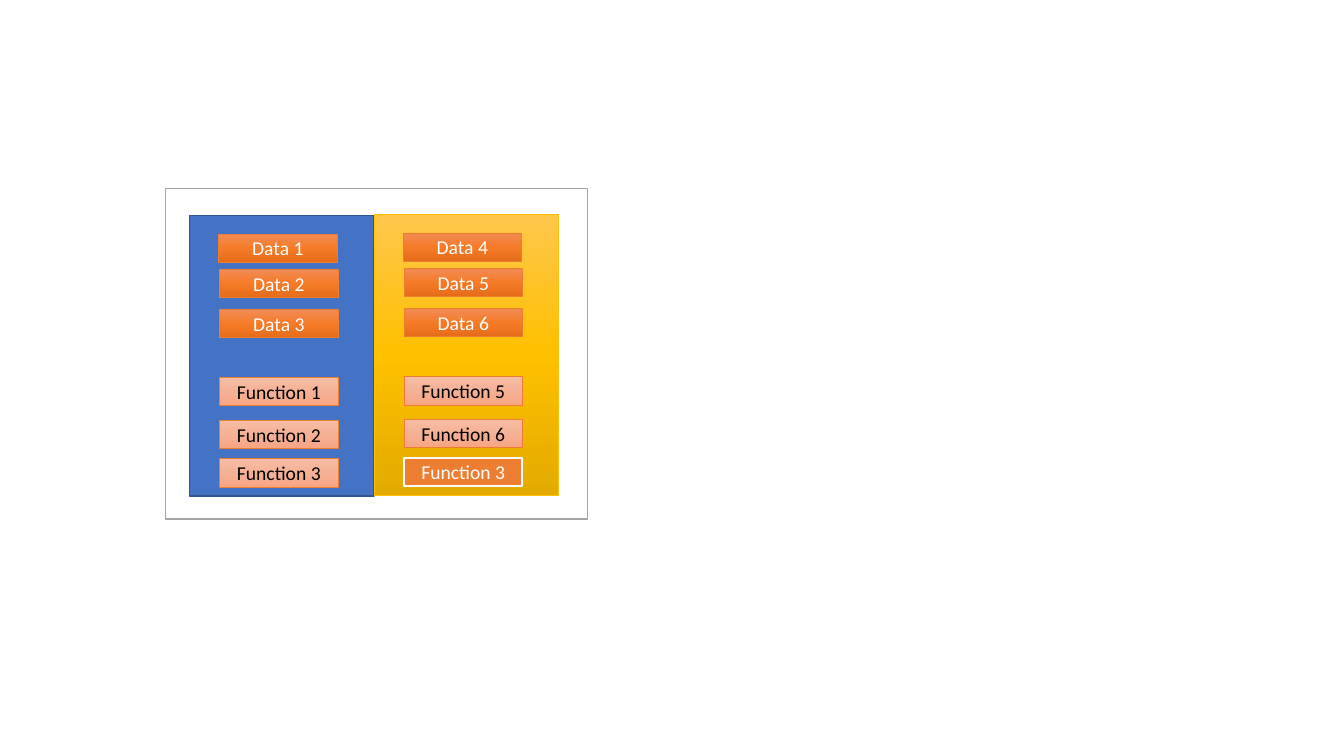
from copy import deepcopy

from pptx import Presentation
from pptx.dml.color import RGBColor
from pptx.enum.shapes import MSO_SHAPE as Shape
from pptx.enum.text import MSO_ANCHOR as Anchor, PP_ALIGN as Align
from pptx.oxml.ns import qn
from pptx.util import Pt

# Styles: fill (one colour, or three gradient stops), line, line width, text
FRAME = ("FFFFFF", "A5A5A5", 1, None)
BLUE_PANEL = ("4472C4", "325491", 1, None)
GOLD_PANEL = (("FFC64B", "FFC000", "E3AB00"), "FFC000", 0.5, None)
DATA = (("F18C57", "F67B28", "E56C19"), "ED7D31", 0.5, "FFFFFF")
FUNCTION = (("F7BDA5", "F5B196", "F8A582"), "ED7D31", 0.5, "000000")
OVERRIDE = ("ED7D31", "FFFFFF", 1.5, "FFFFFF")

# Panel and label layout, in points
PANEL_SIZE = (131.8, 200.2)
LABEL_SIZE = (84.4, 20.2)
LABEL_OFFSETS = ((20.9, 13), (21.6, 38.2), (21.6, 67),
                 (21.6, 115.6), (21.6, 146.2), (21.6, 173.5))


def color(hex_string):
    return RGBColor.from_string(hex_string)


def fill_gradient(shape, colors):
    """Fill from top to bottom with evenly spaced colours."""
    fill = shape.fill
    fill.gradient()
    fill.gradient_angle = 270
    stop_list = shape._element.spPr.find(".//" + qn("a:gsLst"))
    while len(stop_list) < len(colors):
        stop_list.append(deepcopy(stop_list[-1]))
    for index, (stop, hex_string) in enumerate(zip(fill.gradient_stops, colors)):
        stop.position = index / (len(colors) - 1)
        stop.color.rgb = color(hex_string)


def add_box(slide, position, size, style, text=""):
    fill, line, line_width, text_color = style
    lengths = [Pt(value) for value in (*position, *size)]
    shape = slide.shapes.add_shape(Shape.RECTANGLE, *lengths)
    shape.shadow.inherit = False
    if isinstance(fill, str):
        shape.fill.solid()
        shape.fill.fore_color.rgb = color(fill)
    else:
        fill_gradient(shape, fill)
    shape.line.color.rgb = color(line)
    shape.line.width = Pt(line_width)
    if text:
        shape.text_frame.vertical_anchor = Anchor.MIDDLE
        paragraph = shape.text_frame.paragraphs[0]
        paragraph.alignment = Align.CENTER
        run = paragraph.add_run()
        run.text = text
        run.font.name = "Calibri"
        run.font.size = Pt(14)
        run.font.color.rgb = color(text_color)


def add_panel(slide, left, top, style, labels):
    add_box(slide, (left, top), PANEL_SIZE, style)
    for (x, y), (text, label_style) in zip(LABEL_OFFSETS, labels):
        add_box(slide, (left + x, top + y), LABEL_SIZE, label_style, text)


def main():
    presentation = Presentation()
    presentation.slide_width = Pt(960)
    presentation.slide_height = Pt(540)
    slide = presentation.slides.add_slide(presentation.slide_layouts[6])

    # Outer frame
    add_box(slide, (118.1, 134.6), (301.7, 236.2), FRAME)

    # Base members on the left
    add_panel(slide, 135.4, 154.1, BLUE_PANEL, [
        ("Data 1", DATA), ("Data 2", DATA), ("Data 3", DATA),
        ("Function 1", FUNCTION), ("Function 2", FUNCTION),
        ("Function 3", FUNCTION)])

    # Added members on the right, with a redefined function
    add_panel(slide, 267.1, 153.4, GOLD_PANEL, [
        ("Data 4", DATA), ("Data 5", DATA), ("Data 6", DATA),
        ("Function 5", FUNCTION), ("Function 6", FUNCTION),
        ("Function 3", OVERRIDE)])

    presentation.save("out.pptx")


main()
